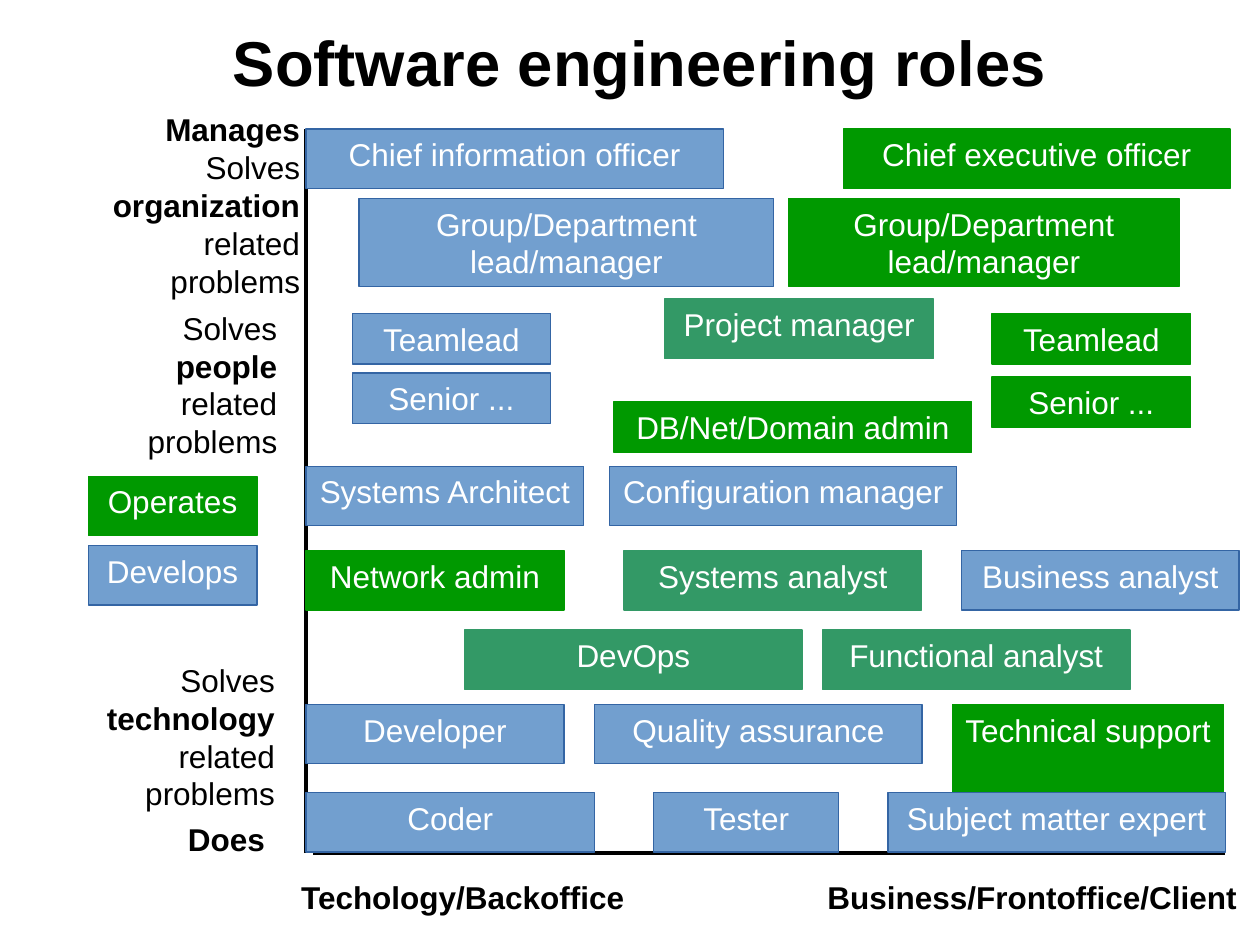
from lxml import etree
from pptx import Presentation
from pptx import util as u
from pptx.dml.color import RGBColor
from pptx.enum import shapes, text
from pptx.oxml.ns import qn

TITLE = "Software engineering roles"
FONT = "Arial"
COLORS = {
    "text": "000000",
    "on_box": "FFFFFF",
    "develops": "729FCF",
    "develops_edge": "3465A4",
    "operates": "009900",
    "mixed": "339966",
}
EDGES = {"develops": "develops_edge"}

AXIS_LEFT, AXIS_BOTTOM = 6.17, 17.2
LOW, MEDIUM, TALL = 1.02, 1.2, 1.78

# Rows of boxes: (top, height, [(label, kind, left, width), ...]), in cm
ROLE_ROWS = [
    (2.6, MEDIUM, [("Chief information officer", "develops", AXIS_LEFT, 8.41),
                   ("Chief executive officer", "operates", 17.0, 7.8)]),
    (4.0, TALL, [("Group/Department lead/manager", "develops", 7.24, 8.36),
                 ("Group/Department lead/manager", "operates", 15.9, 7.87)]),
    (6.03, MEDIUM, [("Project manager", "mixed", 13.4, 5.42)]),
    (6.32, LOW, [("Teamlead", "develops", 7.1, 4.0),
                 ("Teamlead", "operates", 20.0, 4.0)]),
    (7.52, LOW, [("Senior ...", "develops", 7.1, 4.0)]),
    (7.6, LOW, [("Senior ...", "operates", 20.0, 4.0)]),
    (8.1, LOW, [("DB/Net/Domain admin", "operates", 12.38, 7.21)]),
    (9.4, MEDIUM, [("Systems Architect", "develops", AXIS_LEFT, 5.6),
                   ("Configuration manager", "develops", 12.29, 7.0)]),
    (11.1, MEDIUM, [("Network admin", "operates", AXIS_LEFT, 5.2),
                    ("Systems analyst", "mixed", 12.58, 6.0),
                    ("Business analyst", "develops", 19.38, 5.6)]),
    (12.7, MEDIUM, [("DevOps", "mixed", 9.37, 6.8),
                    ("Functional analyst", "mixed", 16.58, 6.2)]),
    (14.2, MEDIUM, [("Developer", "develops", AXIS_LEFT, 5.2),
                    ("Quality assurance", "develops", 11.99, 6.6)]),
    (14.2, TALL, [("Technical support", "operates", 19.2, 5.47)]),
    (15.98, MEDIUM, [("Coder", "develops", AXIS_LEFT, 5.82),
                     ("Tester", "develops", 13.18, 3.73),
                     ("Subject matter expert", "develops", 17.9, 6.8)]),
]
LEGEND_ROWS = [
    (9.6, MEDIUM, [("Operates", "operates", 1.78, 3.4)]),
    (11.0, MEDIUM, [("Develops", "develops", 1.78, 3.4)]),
]

# Labels: (place, alignment, wrap, paragraphs of (text, bold) spans)
RIGHT, CENTER = text.PP_ALIGN.RIGHT, text.PP_ALIGN.CENTER
AXIS_LABELS = [
    ((-0.05, 2.1, 6.35, 3.3), RIGHT, False,
     [[("Manages", True)], [("Solves ", False), ("organization", True)],
      [("related", False)], [("problems", False)]]),
    ((1.27, 6.1, 4.57, 3.3), RIGHT, True,
     [[("Solves", False)], [("people", True), (" related", False)],
      [("problems", False)]]),
    ((0.79, 13.2, 5.0, 3.3), RIGHT, True,
     [[("Solves ", False), ("technology", True), (" related problems", False)]]),
    ((3.38, 16.4, 2.21, 1.2), RIGHT, True, [[("Does", True)]]),
    ((5.8, 17.58, 7.06, 1.02), CENTER, False, [[("Techology/Backoffice", True)]]),
    ((16.43, 17.58, 8.76, 1.02), CENTER, False,
     [[("Business/Frontoffice/Client", True)]]),
]


def color(name):
    return RGBColor.from_string(COLORS[name])


def style(font, size, color_name, bold=False):
    font.name, font.size, font.bold = FONT, u.Pt(size), bold
    font.color.rgb = color(color_name)


def set_title(page):
    title = page.shapes.title
    title.left, title.top, title.width, title.height = map(
        u.Cm, (1.47, 0.51, 22.86, 1.45))
    frame = title.text_frame
    frame.text = TITLE
    frame.vertical_anchor = text.MSO_ANCHOR.MIDDLE
    frame.margin_left = frame.margin_right = frame.margin_top = frame.margin_bottom = 0
    frame.auto_size = text.MSO_AUTO_SIZE.NONE
    frame.paragraphs[0].alignment = CENTER
    style(frame.paragraphs[0].runs[0].font, 36.2, "text", True)


def add_axis(page, *ends):
    axis = page.shapes.add_connector(
        shapes.MSO_CONNECTOR.STRAIGHT, *map(u.Cm, ends))
    axis.line.color.rgb = color("text")
    axis.line.width = u.Pt(0)
    etree.SubElement(axis.element.spPr, qn("a:effectLst"))


def add_label(page, place, alignment, wrap, paragraphs):
    frame = page.shapes.add_textbox(*map(u.Cm, place)).text_frame
    frame.word_wrap = wrap
    for index, spans in enumerate(paragraphs):
        para = frame.add_paragraph() if index else frame.paragraphs[0]
        para.alignment = alignment
        for words, bold in spans:
            span = para.add_run()
            span.text = words
            style(span.font, 18, "text", bold)


def add_box_row(page, top, height, boxes):
    for label, kind, left, width in boxes:
        box = page.shapes.add_shape(
            shapes.MSO_SHAPE.RECTANGLE, *map(u.Cm, (left, top, width, height)))
        box.shadow.inherit = False
        box.fill.solid()
        box.fill.fore_color.rgb = color(kind)
        box.line.color.rgb = color(EDGES.get(kind, kind))
        box.line.width = u.Pt(0)
        frame = box.text_frame
        frame.word_wrap = True
        frame.vertical_anchor = text.MSO_ANCHOR.TOP
        frame.text = label
        frame.paragraphs[0].alignment = CENTER
        style(frame.paragraphs[0].runs[0].font, 18, "on_box")


def main():
    deck = Presentation()
    deck.slide_width, deck.slide_height = u.Cm(25.4), u.Cm(19.05)
    page = deck.slides.add_slide(deck.slide_layouts.get_by_name("Title Only"))
    set_title(page)
    add_axis(page, AXIS_LEFT, AXIS_BOTTOM, AXIS_LEFT, 2.6)
    add_axis(page, 6.3, AXIS_BOTTOM, 24.7, AXIS_BOTTOM)
    for label in AXIS_LABELS:
        add_label(page, *label)
    for row in ROLE_ROWS + LEGEND_ROWS:
        add_box_row(page, *row)
    deck.save("out.pptx")


if __name__ == "__main__":
    main()
